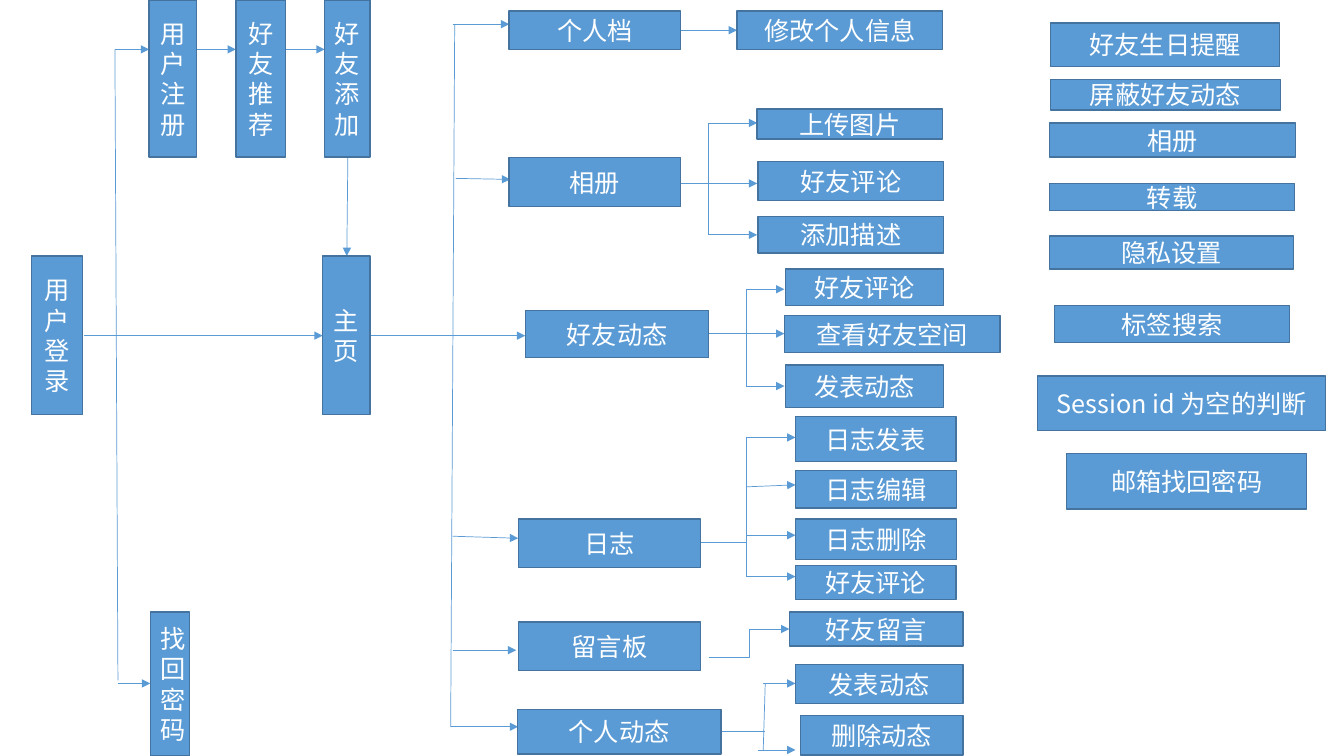
from pptx import Presentation
from pptx import util as u
from pptx.dml.color import RGBColor
from pptx.enum import shapes, text
from pptx.oxml import ns
from lxml import etree

COLORS = {"fill": "5B9BD5", "border": "43739E", "line": "5B9BD5", "text": "FFFFFF"}
FONT = "Noto Sans CJK SC"

ENTRY_BOXES = [
    ("用户登录", 0.31, 2.54, 0.51, 1.57),
    ("用户注册", 1.48, 0, 0.47, 1.56),
    ("好友推荐", 2.34, 0, 0.49, 1.56),
    ("好友添加", 3.22, 0, 0.45, 1.56),
    ("主页", 3.2, 2.54, 0.47, 1.57),
    ("找回密码", 1.49, 6.07, 0.39, 1.43),
]
TOPIC_BOXES = [
    ("个人档", 5.05, 0.11, 1.7, 0.38),
    ("相册", 5.05, 1.56, 1.7, 0.49),
    ("好友动态", 5.21, 3.08, 1.82, 0.47),
    ("日志", 5.14, 5.15, 1.81, 0.48),
    ("留言板", 5.14, 6.17, 1.81, 0.48),
    ("个人动态", 5.13, 7.04, 2.02, 0.44),
]
ACTION_BOXES = [
    ("修改个人信息", 7.31, 0.11, 2.04, 0.38),
    ("上传图片", 7.51, 1.08, 1.84, 0.3),
    ("好友评论", 7.52, 1.6, 1.84, 0.39),
    ("添加描述", 7.52, 2.15, 1.84, 0.36),
    ("好友评论", 7.79, 2.67, 1.57, 0.36),
    ("查看好友空间", 7.78, 3.13, 2.14, 0.37),
    ("发表动态", 7.79, 3.62, 1.57, 0.42),
    ("日志发表", 7.89, 4.13, 1.59, 0.45),
    ("日志编辑", 7.89, 4.67, 1.6, 0.37),
    ("日志删除", 7.89, 5.15, 1.6, 0.4),
    ("好友评论", 7.89, 5.61, 1.59, 0.34),
    ("好友留言", 7.83, 6.07, 1.72, 0.34),
    ("发表动态", 7.89, 6.59, 1.66, 0.39),
    ("删除动态", 7.94, 7.1, 1.61, 0.39),
]
FEATURE_BOXES = [
    ("好友生日提醒", 10.42, 0.23, 2.27, 0.43),
    ("屏蔽好友动态", 10.42, 0.79, 2.28, 0.3),
    ("相册", 10.41, 1.22, 2.44, 0.34),
    ("转载", 10.41, 1.82, 2.43, 0.27),
    ("隐私设置", 10.41, 2.34, 2.42, 0.33),
    ("标签搜索", 10.46, 3.03, 2.33, 0.37),
    ("Session id 为空的判断", 10.29, 3.73, 2.86, 0.54),
    ("邮箱找回密码", 10.58, 4.5, 2.38, 0.55),
]

PLAIN_LINES = [
    (1.14, 0.49, 1.17, 6.75),
    (4.51, 0.24, 4.47, 7.21),
    (7.16, 7.26, 7.59, 7.26),
    (7.59, 6.78, 7.57, 7.44),
]
ARROWS = [
    (3.45, 1.56, 3.44, 2.54),
    (1.14, 0.49, 1.48, 0.49),
    (1.94, 0.49, 2.34, 0.49),
    (2.83, 0.49, 3.22, 0.49),
    (0.83, 3.33, 3.2, 3.33),
    (1.17, 6.78, 1.49, 6.78),
    (3.67, 3.33, 5.21, 3.33),
    (4.49, 0.24, 5.05, 0.24),
    (4.52, 1.77, 5.06, 1.78),
    (4.49, 5.32, 5.14, 5.34),
    (4.49, 6.45, 5.12, 6.45),
    (4.47, 7.21, 5.14, 7.21),
    (6.75, 0.3, 7.31, 0.3),
    (7.57, 6.78, 7.89, 6.78),
    (7.52, 7.44, 7.89, 7.44),
]
BOARD_ELBOW = (7.03, 6.52, 7.83, 6.24)
FORKS = [
    {"start": 6.74, "stem": 1.82, "bus": 7.03, "tip": 7.51,
     "rows": [(1.22, 1.22), (1.82, 1.82), (2.33, 2.33)]},
    {"start": 7.03, "stem": 3.31, "bus": 7.4, "tip": 7.78,
     "rows": [(2.87, 2.87), (3.31, 3.31), (3.83, 3.83)]},
    {"start": 6.94, "stem": 5.38, "bus": 7.4, "tip": 7.89,
     "rows": [(4.34, 4.34), (4.83, 4.81), (5.31, 5.31), (5.72, 5.72)]},
]


def color(name):
    return RGBColor.from_string(COLORS[name])


def add_box(slide, label, *bounds):
    shape = slide.shapes.add_shape(shapes.MSO_SHAPE.RECTANGLE, *map(u.Inches, bounds))
    shape.shadow.inherit = False
    shape.fill.solid()
    shape.fill.fore_color.rgb = color("fill")
    shape.line.color.rgb = color("border")
    shape.line.width = u.Pt(1)
    frame = shape.text_frame
    frame.word_wrap = True
    frame.vertical_anchor = text.MSO_ANCHOR.MIDDLE
    paragraph = frame.paragraphs[0]
    paragraph.alignment = text.PP_ALIGN.CENTER
    run = paragraph.add_run()
    run.text = label
    run.font.size = u.Pt(18)
    run.font.name = FONT
    run.font.color.rgb = color("text")
    etree.SubElement(run.font._element, ns.qn("a:ea"), typeface=FONT)


def add_line(slide, ends, arrow=False, kind=shapes.MSO_CONNECTOR.STRAIGHT):
    connector = slide.shapes.add_connector(kind, *map(u.Inches, ends))
    connector.line.color.rgb = color("line")
    connector.line.width = u.Pt(0.5)
    properties = connector._element.spPr
    if arrow:
        outline = properties.find(ns.qn("a:ln"))
        etree.SubElement(outline, ns.qn("a:tailEnd"), type="triangle")
    etree.SubElement(properties, ns.qn("a:effectLst"))


def add_fork(slide, start, stem, bus, tip, rows):
    add_line(slide, (start, stem, bus, stem))
    add_line(slide, (bus, rows[0][0], bus, rows[-1][0]))
    for begin, end in rows:
        add_line(slide, (bus, begin, tip, end), arrow=True)


presentation = Presentation()
presentation.slide_width = u.Inches(13.33)
presentation.slide_height = u.Inches(7.5)
slide = presentation.slides.add_slide(presentation.slide_layouts[6])

for ends in PLAIN_LINES:
    add_line(slide, ends)
for ends in ARROWS:
    add_line(slide, ends, arrow=True)
for fork in FORKS:
    add_fork(slide, **fork)
add_line(slide, BOARD_ELBOW, arrow=True, kind=shapes.MSO_CONNECTOR.ELBOW)
for box in ENTRY_BOXES + TOPIC_BOXES + ACTION_BOXES + FEATURE_BOXES:
    add_box(slide, *box)

presentation.save("out.pptx")
